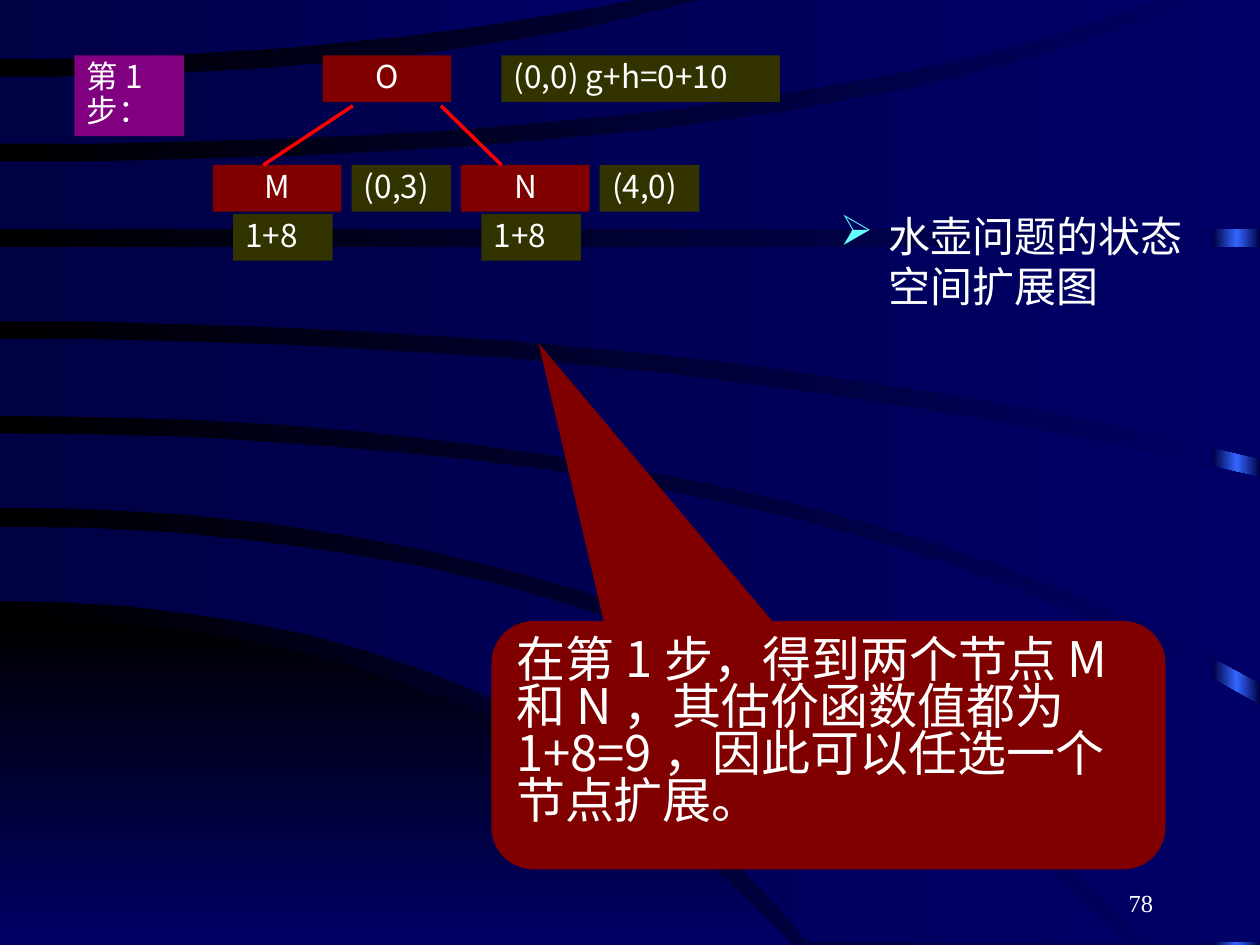
from copy import deepcopy

from lxml import etree
from pptx import Presentation
from pptx.dml import color
from pptx.enum import shapes, text
from pptx.oxml import ns
from pptx.util import Inches, Pt

COLORS = {
    "black": "000000", "navy": "000066", "midnight": "000044", "blue": "3366FF",
    "node": "800000", "value": "333300", "step": "800080",
    "edge": "FF0000", "bullet": "66FFFF", "white": "FFFFFF",
}
SANS = "Noto Sans CJK SC"
SERIF = "Times New Roman"


def rgb(name):
    """Return the named colour."""
    return color.RGBColor.from_string(COLORS[name])


def paint_gradient(fill, start, end, angle=0):
    """Give a fill a two-stop linear gradient."""
    fill.gradient()
    fill.gradient_angle = angle
    for stop, name, position in zip(fill.gradient_stops, (start, end), (0, 1)):
        stop.color.rgb = rgb(name)
        stop.position = position


def sweep(start_y, control_x, end_x, end_y, steps=16):
    """Return points of a curve that leaves the left side horizontally."""
    ratios = [step / steps for step in range(steps + 1)]
    return [(round(2 * t * (1 - t) * control_x + t * t * end_x),
             round(start_y + t * t * (end_y - start_y))) for t in ratios]


def add_band(slide, upper, lower, corner=(), start="midnight", end="navy", angle=0):
    """Draw a gradient band between two curves in hundredths of an inch."""
    points = sweep(*upper) + list(corner) + sweep(*lower)[::-1]
    builder = slide.shapes.build_freeform(*points[0], scale=Inches(0.01))
    builder.add_line_segments(points[1:], close=True)
    band = builder.convert_to_shape()
    band.shadow.inherit = False
    band.line.fill.background()
    paint_gradient(band.fill, start, end, angle)


def add_strip(slide, left, top, width, height):
    """Add the bright strip along the right edge."""
    strip = add_block(slide, shapes.MSO_SHAPE.RECTANGLE, left, top, width, height, "blue")
    paint_gradient(strip.fill, "midnight", "midnight")
    stop_list = next(strip.element.iter(ns.qn("a:gsLst")))
    stop_list.insert(1, deepcopy(stop_list[0]))
    middle = strip.fill.gradient_stops[1]
    middle.color.rgb = rgb("blue")
    middle.position = 0.5


def add_backdrop(slide, width, height):
    """Lay the gradient background, the edge strip and the curved bands."""
    paint_gradient(slide.background.fill, "black", "navy")
    add_strip(slide, width - Inches(0.37), 0, Inches(0.37), height)
    add_band(slide, (491, 396, 628, 750), (750, 314, 628, 750),
             start="black", angle=270)
    add_band(slide, (418, 576, 893, 748), (477, 419, 642, 748))
    add_band(slide, (344, 640, 1000, 560), (403, 588, 909, 748), [(1000, 748)])
    add_band(slide, (269, 550, 1000, 379), (330, 620, 1000, 542))
    add_band(slide, (196, 500, 1000, 196), (255, 560, 1000, 364))
    add_band(slide, (128, 668, 943, 0), (182, 500, 1000, 182), [(1000, 0)])
    add_band(slide, (61, 338, 556, 0), (114, 624, 917, 0))
    add_band(slide, (0, 250, 501, 0), (47, 260, 501, 0))


def write(shape, words, size, font=SANS, align=text.PP_ALIGN.LEFT, spacing=1.0):
    """Write one wrapped paragraph into a shape."""
    frame = shape.text_frame
    frame.word_wrap = True
    frame.vertical_anchor = text.MSO_ANCHOR.TOP
    paragraph = frame.paragraphs[0]
    paragraph.text = words
    paragraph.alignment = align
    paragraph.line_spacing = spacing
    paragraph.font.size = Pt(size)
    paragraph.font.color.rgb = rgb("white")
    paragraph.font.name = font
    properties = paragraph.font._element
    etree.SubElement(properties, ns.qn("a:ea")).set("typeface", font)


def add_block(slide, kind, left, top, width, height, fill):
    """Add a plain filled shape."""
    shape = slide.shapes.add_shape(kind, left, top, width, height)
    shape.shadow.inherit = False
    shape.fill.solid()
    shape.fill.fore_color.rgb = rgb(fill)
    shape.line.fill.background()
    return shape


def add_label(slide, words, left, top, width, fill, height=Inches(0.37)):
    """Add a small labelled rectangle, centred when it is a node."""
    shape = add_block(slide, shapes.MSO_SHAPE.RECTANGLE, left, top, width, height, fill)
    align = text.PP_ALIGN.CENTER if fill == "node" else text.PP_ALIGN.LEFT
    write(shape, words, 18, align=align, spacing=0.9)
    shape.text_frame.auto_size = text.MSO_AUTO_SIZE.SHAPE_TO_FIT_TEXT


def add_edge(slide, start_x, start_y, end_x, end_y):
    """Draw a tree edge."""
    edge = slide.shapes.add_connector(
        shapes.MSO_CONNECTOR.STRAIGHT, start_x, start_y, end_x, end_y)
    edge.line.color.rgb = rgb("edge")
    edge.line.width = Pt(2)
    etree.SubElement(edge.element.spPr, ns.qn("a:effectLst"))


def add_tree(slide, left, top):
    """Place the step label, the root, its two children and the edges."""
    node_width, value_width = Inches(1.02), Inches(0.79)
    add_label(slide, "第1步：", left, top, Inches(0.87), "step", Inches(0.64))
    add_label(slide, "O", left + Inches(1.97), top, node_width, "node")
    add_label(slide, "(0,0) g+h=0+10", left + Inches(3.39), top, Inches(2.21), "value")
    child_top = top + Inches(0.87)
    for index, (name, state) in enumerate((("M", "(0,3)"), ("N", "(4,0)"))):
        child_left = left + Inches(1.1) + index * Inches(1.97)
        add_label(slide, name, child_left, child_top, node_width, "node")
        add_label(slide, state, child_left + Inches(1.1), child_top, value_width, "value")
        add_label(slide, "1+8", child_left + Inches(0.16), child_top + Inches(0.39),
                  value_width, "value")
    for child_x, root_x in ((1.5, 2.21), (3.39, 2.91)):
        add_edge(slide, left + Inches(child_x), child_top,
                 left + Inches(root_x), top + Inches(0.4))


def add_caption(slide, left, top, width, height):
    """Add the bulleted caption."""
    box = slide.shapes.add_textbox(left, top, width, height)
    properties = box.text_frame.paragraphs[0]._p.get_or_add_pPr()
    properties.set("marL", str(Inches(0.38)))
    properties.set("indent", str(-Inches(0.38)))
    bullet_color = etree.SubElement(properties, ns.qn("a:buClr"))
    etree.SubElement(bullet_color, ns.qn("a:srgbClr")).set("val", COLORS["bullet"])
    etree.SubElement(properties, ns.qn("a:buChar")).set("char", "➢")
    write(box, "水壶问题的状态空间扩展图", 24)


def add_callout(slide, left, top, width, height):
    """Add the callout that explains the step."""
    callout = add_block(slide, shapes.MSO_SHAPE.ROUNDED_RECTANGULAR_CALLOUT,
                        left, top, width, height, "node")
    for index, value in enumerate((-0.43, -1.62, 0.17)):
        callout.adjustments[index] = value
    write(callout, "在第1步，得到两个节点M和N，其估价函数值都为1+8=9，因此可以任选一个节点扩展。",
          28, spacing=0.8)


def add_page_number(slide, left, top, width, height):
    """Add the page number."""
    box = slide.shapes.add_textbox(left, top, width, height)
    write(box, "78", 14, SERIF, text.PP_ALIGN.RIGHT)
    box.text_frame.vertical_anchor = text.MSO_ANCHOR.BOTTOM


def main():
    """Build and save the slide."""
    presentation = Presentation()
    presentation.slide_width, presentation.slide_height = Inches(10), Inches(7.5)
    slide = presentation.slides.add_slide(presentation.slide_layouts[6])
    add_backdrop(slide, presentation.slide_width, presentation.slide_height)
    add_page_number(slide, Inches(7.17), Inches(6.83), Inches(2.08), Inches(0.5))
    add_caption(slide, Inches(6.57), Inches(1.62), Inches(2.95), Inches(1.26))
    add_callout(slide, Inches(3.9), Inches(4.93), Inches(5.35), Inches(1.97))
    add_tree(slide, Inches(0.59), Inches(0.44))
    presentation.save("out.pptx")


if __name__ == "__main__":
    main()
